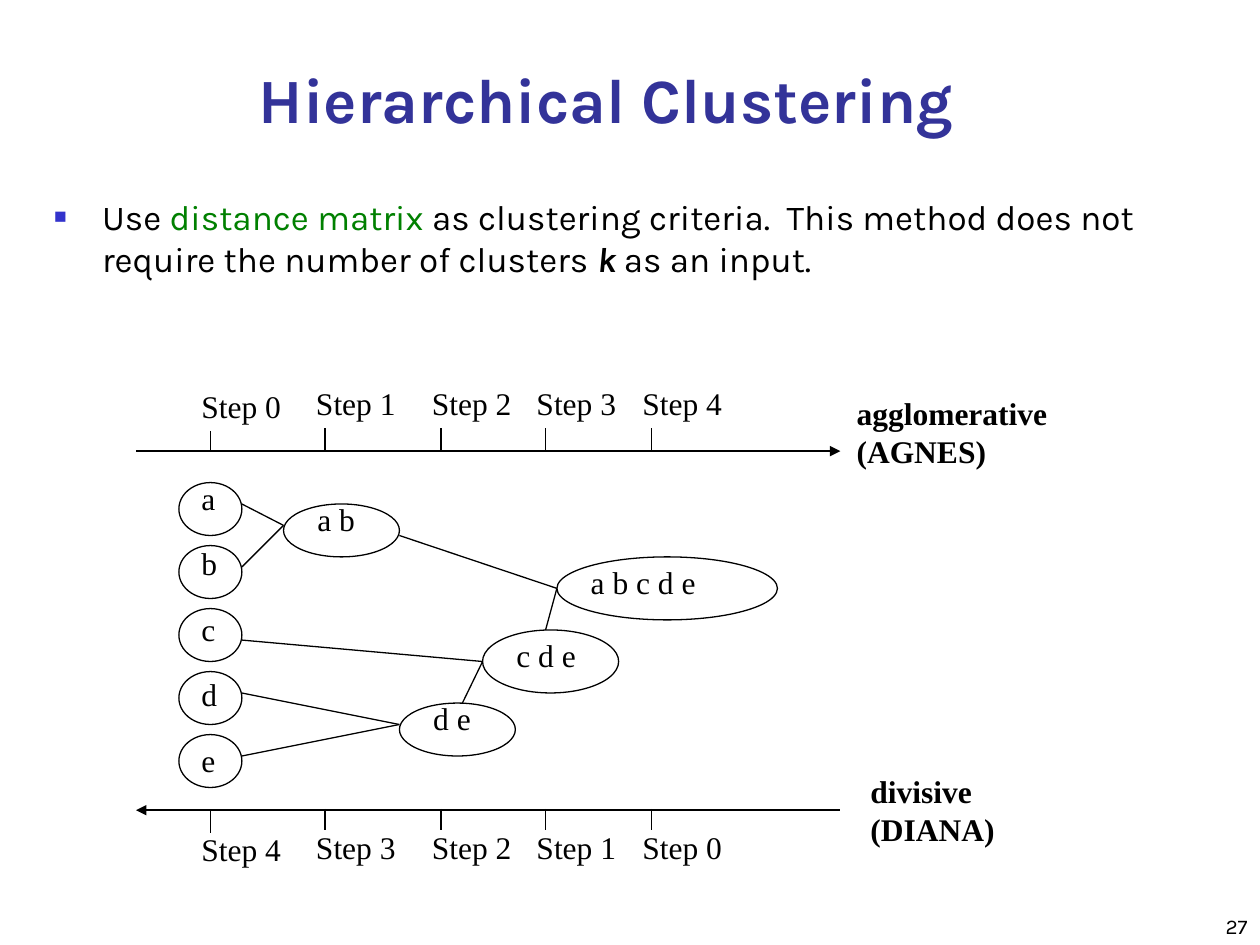
from lxml import etree
from pptx import Presentation
from pptx.dml.color import RGBColor
from pptx.enum.shapes import MSO_CONNECTOR, MSO_SHAPE
from pptx.enum.text import MSO_ANCHOR, MSO_AUTO_SIZE, PP_ALIGN
from pptx.oxml.ns import qn
from pptx.util import Inches, Pt

STRAIGHT = MSO_CONNECTOR.STRAIGHT
ELLIPSE = MSO_SHAPE.OVAL
TOP, MIDDLE, BOTTOM = MSO_ANCHOR.TOP, MSO_ANCHOR.MIDDLE, MSO_ANCHOR.BOTTOM
NO_AUTOFIT = MSO_AUTO_SIZE.NONE
LEFT, CENTER, RIGHT = PP_ALIGN.LEFT, PP_ALIGN.CENTER, PP_ALIGN.RIGHT

BLACK = RGBColor(0x00, 0x00, 0x00)
GREEN = RGBColor(0x00, 0x80, 0x00)
TITLE_BLUE = RGBColor(0x33, 0x33, 0x99)
BULLET_BLUE = RGBColor(0x33, 0x33, 0xCC)

TITLE_FONT = {"name": "Karla", "size": Pt(36), "bold": True}
BODY_FONT = {"name": "Karla", "size": Pt(20)}
NUMBER_FONT = {"name": "Karla", "size": Pt(12)}
LABEL_FONT = {"name": "Times New Roman", "size": Pt(18)}
HEADING_FONT = {**LABEL_FONT, "bold": True}

AXIS_LEFT, AXIS_RIGHT = 1.08, 6.67
TICK_LEFTS = [1.67, 2.58, 3.5, 4.33, 5.17]
TICK_HEIGHT = 0.17
LEAF_LEFT, LEAF_TOP, LEAF_STEP = 1.42, 3.83, 0.5
CLUSTERS = [
    ("a b", (2.25, 4, 0.92, 0.42), 3.92),
    ("d e", (3.17, 5.58, 0.92, 0.42), 5.5),
    ("c d e", (3.83, 5, 1.08, 0.5), 5),
    ("a b c d e", (4.42, 4.42, 1.75, 0.5), 4.42),
]
BRANCHES = [
    ((1.92, 4), (2.25, 4.17)),
    ((1.92, 4.5), (2.25, 4.17)),
    ((1.92, 5.5), (3.17, 5.75)),
    ((1.92, 6), (3.17, 5.75)),
    ((1.92, 5.08), (3.83, 5.25)),
    ((3.67, 5.58), (3.83, 5.25)),
    ((3.17, 4.25), (4.42, 4.67)),
    ((4.33, 5), (4.42, 4.67)),
]


def set_values(target, values):
    for name, value in values.items():
        setattr(target, name, value)


def place(shape, left, top, width, height):
    set_values(shape, {"left": Inches(left), "top": Inches(top),
                       "width": Inches(width), "height": Inches(height)})


def add_run(paragraph, text, font, color=BLACK):
    run = paragraph.add_run()
    run.text = text
    set_values(run.font, font)
    run.font.color.rgb = color


def format_frame(frame, anchor=TOP, margin_right=0.1):
    set_values(frame, {"word_wrap": True, "auto_size": NO_AUTOFIT,
                       "vertical_anchor": anchor,
                       "margin_left": Inches(0.1), "margin_right": Inches(margin_right),
                       "margin_top": Inches(0.05), "margin_bottom": Inches(0.05)})


def add_label(slide, lines, box, font=LABEL_FONT, align=LEFT, anchor=TOP, margin_right=0):
    frame = slide.shapes.add_textbox(*map(Inches, box)).text_frame
    format_frame(frame, anchor, margin_right)
    for index, line in enumerate(lines):
        paragraph = frame.add_paragraph() if index else frame.paragraphs[0]
        paragraph.alignment = align
        add_run(paragraph, line, font)


def add_line(slide, start, end, width=0.75, arrow=None):
    line = slide.shapes.add_connector(STRAIGHT, *map(Inches, (*start, *end)))
    line.line.color.rgb = BLACK
    line.line.width = Pt(width)
    if arrow:
        etree.SubElement(line.line._get_or_add_ln(), qn(arrow), type="triangle")
    etree.SubElement(line._element.spPr, qn("a:effectLst"))


def add_ellipse(slide, box):
    ellipse = slide.shapes.add_shape(ELLIPSE, *map(Inches, box))
    ellipse.shadow.inherit = False
    ellipse.fill.background()
    ellipse.line.color.rgb = BLACK
    ellipse.line.width = Pt(0.75)


def add_bullet(paragraph):
    properties = paragraph._p.get_or_add_pPr()
    properties.set("marL", str(Inches(0.38)))
    properties.set("indent", str(-Inches(0.38)))
    color = etree.SubElement(properties, qn("a:buClr"))
    etree.SubElement(color, qn("a:srgbClr"), val=str(BULLET_BLUE))
    etree.SubElement(properties, qn("a:buSzPct"), val="60000")
    etree.SubElement(properties, qn("a:buFont"), typeface="Arial")
    etree.SubElement(properties, qn("a:buChar"), char="■")


def fill_title(title):
    place(title, 0.82, 0.54, 7.98, 0.48)
    format_frame(title.text_frame, MIDDLE)
    paragraph = title.text_frame.paragraphs[0]
    paragraph.alignment = CENTER
    add_run(paragraph, "Hierarchical Clustering", TITLE_FONT, TITLE_BLUE)


def fill_body(body):
    place(body, 0.33, 1.5, 9.08, 1.33)
    format_frame(body.text_frame)
    paragraph = body.text_frame.paragraphs[0]
    paragraph.space_before = Pt(0)
    add_bullet(paragraph)
    add_run(paragraph, "Use ", BODY_FONT)
    add_run(paragraph, "distance matrix ", BODY_FONT, GREEN)
    add_run(paragraph, "as clustering criteria.  This method does not "
                       "require the number of clusters ", BODY_FONT)
    add_run(paragraph, "k", {**BODY_FONT, "bold": True, "italic": True})
    add_run(paragraph, " as an input.", BODY_FONT)


def add_step_axis(slide, axis_top, tick_top, label_top, steps, arrow):
    add_line(slide, (AXIS_LEFT, axis_top), (AXIS_RIGHT, axis_top), 1.5, arrow)
    for index, (left, step) in enumerate(zip(TICK_LEFTS, steps)):
        drop = 0 if index else 0.02
        top = tick_top + drop
        add_line(slide, (left, top), (left, top + TICK_HEIGHT))
        add_label(slide, [f"Step {step}"], (left - 0.17, label_top + drop, 0.83, 0.4))


def add_clusters(slide):
    leaves = [(name, (LEAF_LEFT, LEAF_TOP + LEAF_STEP * index, 0.5, 0.42), 3.75 + 0.52 * index)
              for index, name in enumerate("abcde")]
    for name, box, label_top in leaves + CLUSTERS:
        left = box[0] + (0.08 if len(name) == 1 else 0.17)
        add_label(slide, [name], (left, label_top, box[2] - 0.15, 0.5))
        add_ellipse(slide, box)
    for start, end in BRANCHES:
        add_line(slide, start, end)


def main():
    presentation = Presentation()
    presentation.slide_width = Inches(10)
    presentation.slide_height = Inches(7.5)
    slide = presentation.slides.add_slide(presentation.slide_layouts[1])
    fill_title(slide.shapes.title)
    fill_body(slide.placeholders[1])
    add_step_axis(slide, 3.58, 3.4, 3, range(5), "a:tailEnd")
    add_clusters(slide)
    add_step_axis(slide, 6.43, 6.42, 6.52, reversed(range(5)), "a:headEnd")
    add_label(slide, ["agglomerative", "(AGNES)"], (6.7, 3.08, 2.22, 0.9), HEADING_FONT)
    add_label(slide, ["divisive", "(DIANA)"], (6.81, 6.08, 1.52, 0.9), HEADING_FONT)
    add_label(slide, ["27"], (7.92, 7.08, 2.08, 0.42), NUMBER_FONT, RIGHT, BOTTOM, 0.1)
    presentation.save("out.pptx")


main()
